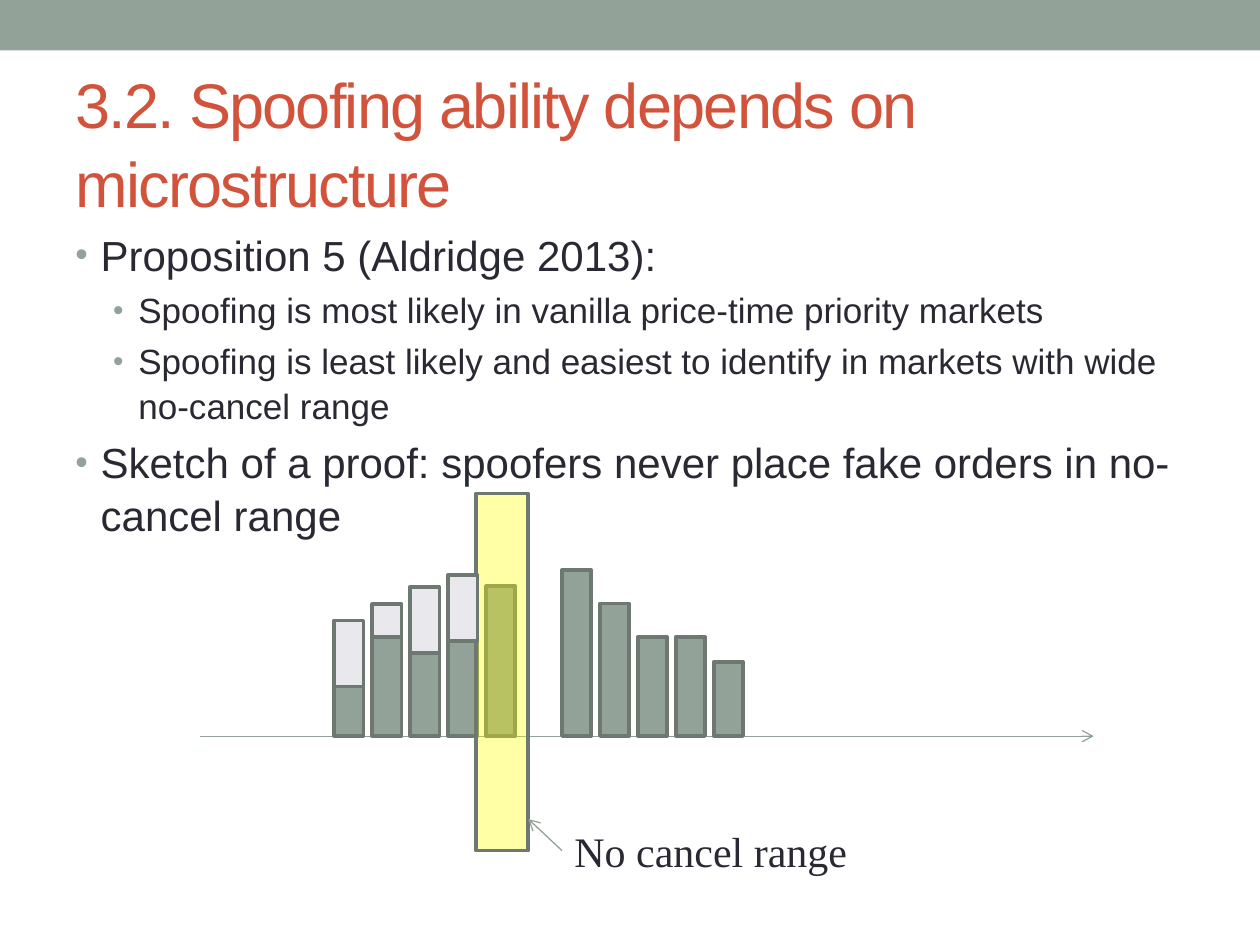
from dataclasses import dataclass

from lxml.etree import SubElement as Sub
from pptx import Presentation as Deck
from pptx.dml.color import RGBColor as Rgb
from pptx.enum.shapes import MSO_CONNECTOR as Link, MSO_SHAPE as Kind
from pptx.enum.text import MSO_ANCHOR as Anchor
from pptx.oxml.ns import qn
from pptx.util import Cm, Pt

HUES = {
    "sage": "93A299",
    "edge": "6D7871",
    "pale": "E8E8ED",
    "glow": "FFFF00",
    "ink": "292934",
    "rust": "D2533C",
}
BASE = 14.84  # height of the price axis, in cm
LEFT, STEP, WIDE = 6.74, 0.765, 0.59


@dataclass
class Bar:
    slot: int
    real: float
    fake: float = 0
    sink: float = 0  # how far the fake part reaches into the real one


@dataclass
class Point:
    text: str
    level: int = 0


BARS = [
    Bar(0, 1, 1.33), Bar(1, 2, 0.66), Bar(2, 1.67, 1.34),
    Bar(3, 2, 1.34, 0.09), Bar(4, 3.02),
    Bar(6, 3.35), Bar(7, 2.67), Bar(8, 2), Bar(9, 2), Bar(10, 1.5),
]
POINTS = [
    Point("Proposition 5 (Aldridge 2013):"),
    Point("Spoofing is most likely in vanilla price-time priority markets", 1),
    Point("Spoofing is least likely and easiest to identify in markets "
          "with wide no-cancel range", 1),
    Point("Sketch of a proof: spoofers never place fake orders in "
          "no-cancel range"),
]


def hue(name: str) -> Rgb:
    return Rgb.from_string(HUES[name])


def frame(slide, x: float, y: float, w: float, h: float, wrap: bool = True):
    box = slide.shapes.add_textbox(Cm(x), Cm(y), Cm(w), Cm(h)).text_frame
    box.word_wrap = wrap
    return box


def write(para, text: str, size: float = 24, font: str = "Arial",
          tint: str = "ink", space: float = 0, lead: float = 1) -> None:
    """Fill a paragraph; space is tracking in points, lead is line spacing."""
    para.line_spacing = lead
    run = para.add_run()
    run.text = text
    run.font.size, run.font.name = Pt(size), font
    run.font.color.rgb = hue(tint)
    if space:
        run.font._element.set("spc", str(int(space * 100)))


def dot(para, level: int) -> None:
    """Give a paragraph its bullet and hanging indent."""
    para.level = level
    props = para._p.get_or_add_pPr()
    props.set("marL", str(Cm(0.51 + 0.76 * level)))
    props.set("indent", str(-Cm(0.51)))
    tint = Sub(props, qn("a:buClr"))
    Sub(tint, qn("a:srgbClr"), val=HUES["sage"])
    Sub(props, qn("a:buSzPct"), val="85000")
    Sub(props, qn("a:buFont"), typeface="Arial")
    Sub(props, qn("a:buChar"), char="•")


def rect(slide, x: float, y: float, w: float, h: float, fill: str,
         edge: str = "edge", alpha: int = 100) -> None:
    """Draw a rectangle; alpha is the opacity in percent."""
    box = slide.shapes.add_shape(Kind.RECTANGLE, Cm(x), Cm(y), Cm(w), Cm(h))
    box.shadow.inherit = False
    box.fill.solid()
    box.fill.fore_color.rgb = hue(fill)
    if alpha < 100:
        tint = box._element.spPr.find(qn("a:solidFill")).find(qn("a:srgbClr"))
        Sub(tint, qn("a:alpha"), val=str(alpha * 1000))
    if edge:
        box.line.color.rgb = hue(edge)
        box.line.width = Pt(2.08)
    else:
        box.line.fill.background()


def arrow(slide, x: float, y: float, to_x: float, to_y: float) -> None:
    line = slide.shapes.add_connector(
        Link.STRAIGHT, Cm(x), Cm(y), Cm(to_x), Cm(to_y))
    line.line.color.rgb = hue("sage")
    line.line.width = Pt(0.75)
    Sub(line.line._get_or_add_ln(), qn("a:tailEnd"), type="arrow")
    Sub(line._element.spPr, qn("a:effectLst"))


def real(slide, bar: Bar) -> None:
    rect(slide, LEFT + STEP * bar.slot, BASE - bar.real, WIDE, bar.real,
         "sage")


def fake(slide, bar: Bar) -> None:
    top = BASE - bar.real - bar.fake + bar.sink
    rect(slide, LEFT + STEP * bar.slot, top, WIDE, bar.fake, "pale")


def main() -> None:
    deck = Deck()
    deck.slide_width, deck.slide_height = Cm(25.4), Cm(19.05)
    slide = deck.slides.add_slide(deck.slide_layouts[6])

    rect(slide, 0, 0, 25.4, 1.02, "sage", edge="")
    title = frame(slide, 1.27, 1.47, 22.86, 2.74)
    title.vertical_anchor = Anchor.MIDDLE
    write(title.paragraphs[0], "3.2. Spoofing ability depends on microstructure",
          size=36, tint="rust", space=-1, lead=1.05)

    body = frame(slide, 1.27, 4.45, 22.86, 13.54)
    for i, point in enumerate(POINTS):
        para = body.add_paragraph() if i else body.paragraphs[0]
        size = 24 - 4 * point.level
        para.space_before = Pt(size * 0.2)
        write(para, point.text, size=size, lead=1.05)
        dot(para, point.level)

    arrow(slide, 4.04, BASE, 22.05, BASE)
    for bar in BARS:
        real(slide, bar)
    *outer, inner = [bar for bar in BARS if bar.fake]
    for bar in outer:
        fake(slide, bar)
    rect(slide, 9.6, 9.95, 1.05, 7.2, "glow", alpha=35)
    fake(slide, inner)

    note = frame(slide, 11.33, 16.51, 6.07, 1.27, wrap=False)
    write(note.paragraphs[0], "No cancel range", font="Times New Roman")
    arrow(slide, 11.33, 17.15, 10.65, 16.51)

    deck.save("out.pptx")


if __name__ == "__main__":
    main()
